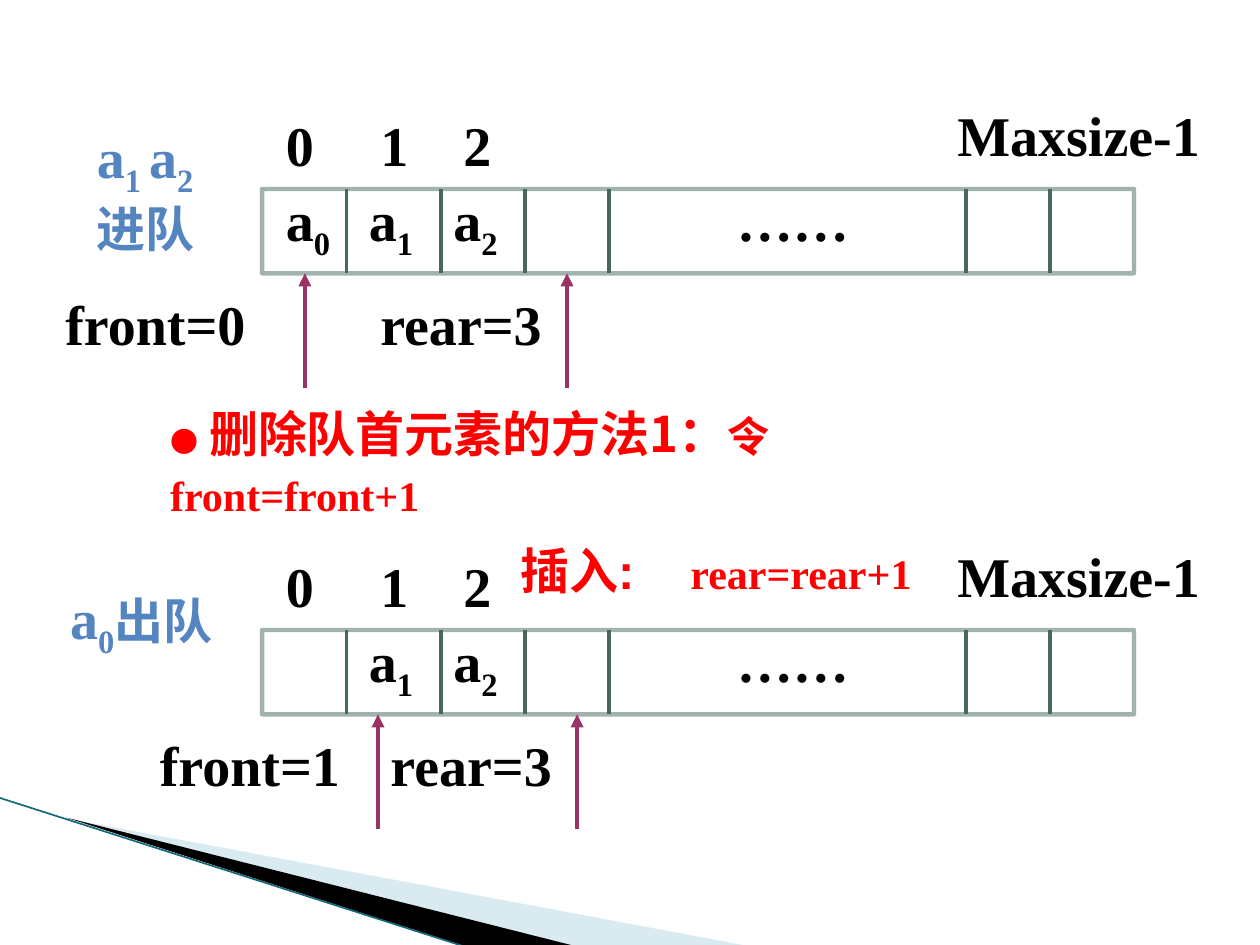
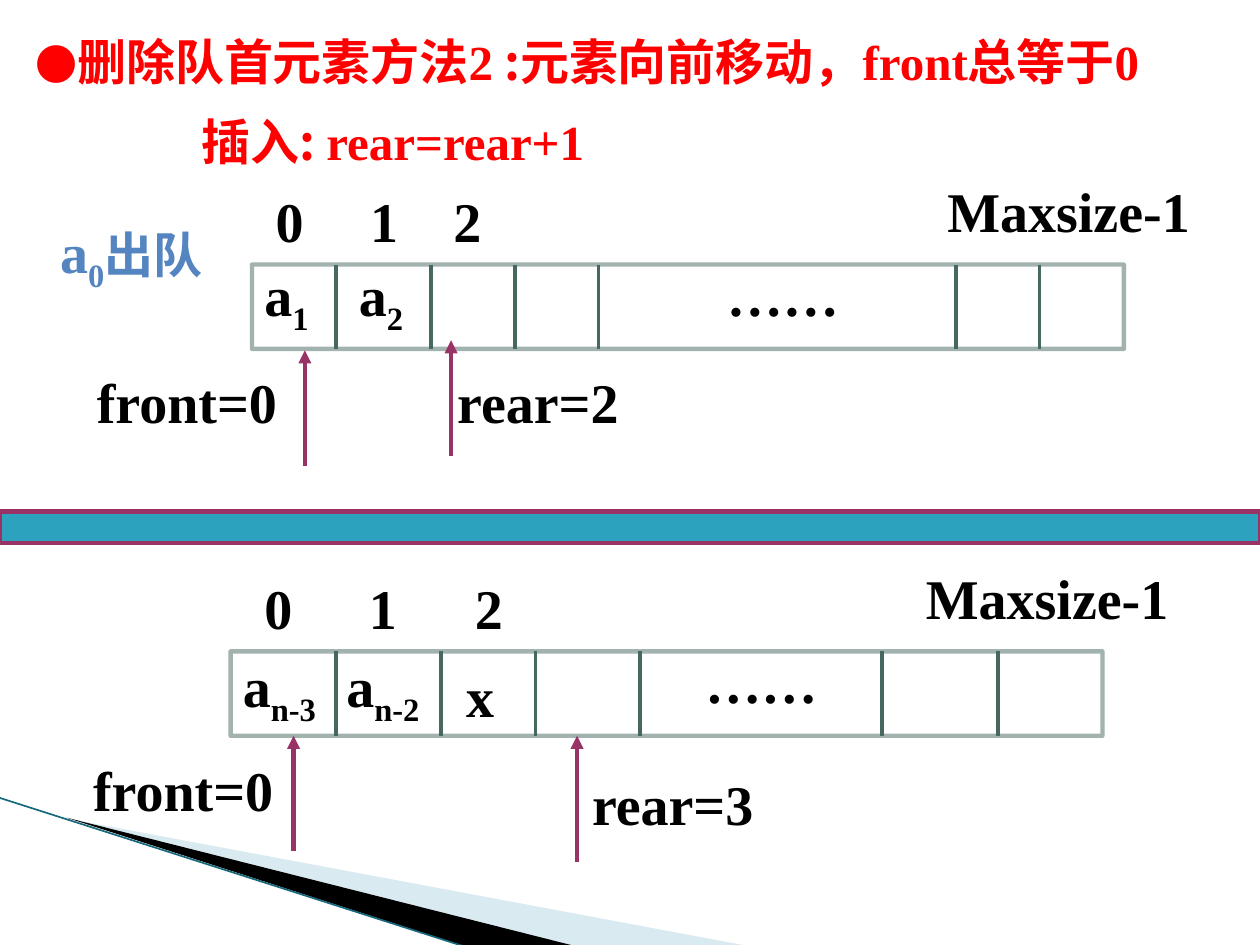
from pptx import Presentation
from pptx.dml.color import RGBColor
from pptx.enum.shapes import MSO_CONNECTOR, MSO_SHAPE
from pptx.enum.text import MSO_ANCHOR, MSO_AUTO_SIZE, PP_ALIGN
from pptx.oxml.ns import qn
from pptx.util import Inches, Pt
from lxml.etree import SubElement

# ---- Shared style ----
BLACK, RED, BLUE = "000000", "FF0000", "5485C0"
GREEN, PURPLE, TEAL = "466861", "993366", "2DA2BF"
SERIF, SANS, CJK = "Times New Roman", "Arial", "Noto Sans CJK SC"
QUEUE_W, QUEUE_H = 6.92, 0.67
LEFT, CENTER = PP_ALIGN.LEFT, PP_ALIGN.CENTER

# ---- Content: text pieces starting with "_" are subscripts ----
# Offsets (dividers, indices, cells) are measured from the queue's corner.
NARROW = dict(dividers=[0.67, 1.42, 2.09, 2.75, 5.59, 6.25], indices=[0.09, 0.84, 1.5])
WIDE = dict(dividers=[0.84, 1.67, 2.42, 3.25, 5.17, 6.09], indices=[0.17, 1, 1.84])
DEQUEUE = [("a", "_0", "出队")]

# cells: (pieces, dx, dy); pointers: (text, text x, text dy, arrow x, arrow top dy, length)
# note: (paragraphs, x, y, width, alignment)
SLIDES = [
    dict(
        title=dict(at=(1.25, 3.08, 7.05, 1.6), tabs=[2.78, 4.13], lines=[
            [("●", 16, CJK), (" 删除队首元素的方法1：", 28, CJK),
             ("令\vfront=front+1", 24, SERIF)],
            [("\t插入:", 28, SANS), ("\trear=rear+1", 24, SERIF)]]),
        queues=[
            dict(NARROW, x=2.08, y=1.5,
                 cells=[(("a", "_0"), 0.09, -0.08), (("a", "_1"), 0.75, -0.08),
                        (("a", "_2"), 1.42, -0.08)],
                 pointers=[("front=0", 0.42, 0.75, 2.42, 0.67, 0.91),
                           ("rear=3", 2.92, 0.75, 4.5, 0.67, 0.91)],
                 note=([("a", "_1 ", "a", "_2"), ("进队",)], 0.67, 0.92, 1.67, LEFT)),
            dict(NARROW, x=2.08, y=5,
                 cells=[(("a", "_1"), 0.75, -0.08), (("a", "_2"), 1.42, -0.08)],
                 pointers=[("front=1", 1.17, 0.75, 3, 0.67, 0.91),
                           ("rear=3", 3, 0.75, 4.58, 0.67, 0.91)],
                 note=(DEQUEUE, 0.33, 4.58, 1.58, CENTER)),
        ]),
    dict(
        title=dict(at=(0.18, 0.13, 9.72, 1.42), tabs=[1.32], lines=[
            [("●", 24, CJK), ("删除队首元素方法", 28, CJK), ("2", 28, SERIF),
             (" :元素向前移动，", 28, CJK), ("front总等于0", 28, SERIF)],
            [("\t插入: ", 28, CJK), ("rear=rear+1", 28, SERIF)]]),
        band=(0, 4.06, 10, 0.25),
        queues=[
            dict(NARROW, x=2, y=2.1,
                 cells=[(("a", "_1"), 0, -0.08), (("a", "_2"), 0.75, -0.08)],
                 pointers=[("front=0", 0.67, 0.77, 2.42, 0.68, 0.92),
                           ("rear=2", 3.53, 0.77, 3.58, 0.6, 0.92)],
                 note=(DEQUEUE, 0.25, 1.68, 1.58, CENTER)),
            dict(WIDE, x=1.83, y=5.17,
                 cells=[(("a", "_n-3"), 0, -0.05), (("a", "_n-2"), 0.82, -0.05),
                        (("x",), 1.77, 0.03)],
                 pointers=[("front=0", 0.64, 0.78, 2.33, 0.67, 0.91),
                           ("rear=3", 4.6, 0.89, 4.58, 0.67, 1)]),
        ]),
]


# ---- Helpers ----
def rgb(value):
    return RGBColor.from_string(value)


def box(x, y, w, h):
    return Inches(x), Inches(y), Inches(w), Inches(h)


def set_alpha(fill_parent, percent):
    """Make the solid colour under this element partly transparent."""
    color = next(fill_parent.iter(qn("a:srgbClr")))
    SubElement(color, qn("a:alpha")).set("val", str(percent * 1000))


def add_run(p, text, size, font):
    r = p.add_run()
    r.text = text
    r.font.size, r.font.name = Pt(size), font
    SubElement(r.font._element, qn("a:ea")).set("typeface", CJK)
    return r


def add_label(shapes, paragraphs, x, y, w, color=BLACK, align=LEFT):
    tf = shapes.add_textbox(*box(x, y, w, 0.63 * len(paragraphs))).text_frame
    tf.word_wrap = True
    for i, pieces in enumerate(paragraphs):
        p = tf.add_paragraph() if i else tf.paragraphs[0]
        p.alignment = align
        p.font.bold = True
        if i:
            p.line_spacing, p.space_before = 0.85, Pt(5)
        for piece in pieces:
            r = add_run(p, piece.lstrip("_"), 28 if piece[0] > "\u2e80" else 32, SERIF)
            r.font.bold = True
            r.font.color.rgb = rgb(color)
            if piece[0] == "_":
                r.font._element.set("baseline", "-25000")


def add_line(shapes, x1, y1, x2, y2, color, width, arrow=False):
    c = shapes.add_connector(MSO_CONNECTOR.STRAIGHT,
                             Inches(x1), Inches(y1), Inches(x2), Inches(y2))
    c.line.color.rgb, c.line.width = rgb(color), Pt(width)
    if arrow:
        SubElement(c.line._get_or_add_ln(), qn("a:tailEnd")).set("type", "triangle")
    SubElement(c._element.spPr, qn("a:effectLst"))
    return c


def add_rect(shapes, x, y, w, h, line, fill=None):
    sp = shapes.add_shape(MSO_SHAPE.RECTANGLE, *box(x, y, w, h))
    sp.shadow.inherit = False
    sp.line.color.rgb, sp.line.width = rgb(line), Pt(2.5)
    if fill:
        sp.fill.solid()
        sp.fill.fore_color.rgb = rgb(fill)
    else:
        sp.fill.background()
    return sp


def add_wedge(shapes, points, color):
    (x, y), *rest = [(Inches(px), Inches(py)) for px, py in points]
    builder = shapes.build_freeform(x, y)
    builder.add_line_segments(rest, close=True)
    sp = builder.convert_to_shape()
    sp.shadow.inherit = False
    sp.fill.solid()
    sp.fill.fore_color.rgb = rgb(color)
    sp.line.fill.background()
    return sp


def decorate_layout(layout, s):
    """Draw the corner wedges once and hand them to the shared layout."""
    light = add_wedge(s.shapes, [(0.55, 6.5), (5.95, 7.51), (4.56, 7.51)], "A0CBDC")
    set_alpha(light._element.spPr, 40)
    dark = add_wedge(s.shapes, [(0.53, 6.49), (4.57, 7.51), (3.72, 7.52)], BLACK)
    edge = add_line(s.shapes, -0.01, 6.33, 3.71, 7.52, "16697A", 0.95)
    for shape in (light, dark, edge):
        layout.shapes.element.append(shape._element)


def fill_title(title, at, tabs, lines):
    title.left, title.top, title.width, title.height = box(*at)
    tf = title.text_frame
    tf.word_wrap, tf.auto_size = True, MSO_AUTO_SIZE.NONE
    tf.vertical_anchor = MSO_ANCHOR.TOP
    for i, runs in enumerate(lines):
        p = tf.add_paragraph() if i else tf.paragraphs[0]
        p.alignment, p.line_spacing = LEFT, 1.15
        p.space_before = Pt(7 if i else 0)
        if i:
            stops = SubElement(p._p.get_or_add_pPr(), qn("a:tabLst"))
            for pos in tabs:
                stop = SubElement(stops, qn("a:tab"))
                stop.set("pos", str(Inches(pos)))
                stop.set("algn", "l")
        for text, size, font in runs:
            # a vertical tab in the content stands for a line break
            for n, part in enumerate(text.split("\v")):
                if n:
                    p.add_line_break()
                r = add_run(p, part, size, font)
                r.font.bold = True
                r.font.color.rgb = rgb(RED)


def add_queue(s, x, y, dividers, indices, cells, pointers, note=None):
    shapes = s.shapes.add_group_shape().shapes
    frame = add_rect(shapes, x, y, QUEUE_W, QUEUE_H, GREEN)
    set_alpha(frame.line._get_or_add_ln(), 50)
    for dx in dividers:
        add_line(shapes, x + dx, y, x + dx, y + QUEUE_H, GREEN, 2.25)
    # Indices above, values inside
    for i, dx in enumerate(indices):
        add_label(shapes, [(str(i),)], x + dx, y - 0.67, 0.5)
    add_label(shapes, [("Maxsize-1",)], x + 5.42, y - 0.75, 2.17)
    add_label(shapes, [("……",)], x + 3.67, y - 0.08, 1.25)
    for pieces, dx, dy in cells:
        add_label(shapes, [pieces], x + dx, y + dy, 0.95)
    # Front and rear pointers below
    for text, text_x, dy, arrow_x, top, length in pointers:
        add_label(shapes, [(text,)], text_x, y + dy, 1.92)
        add_line(shapes, arrow_x, y + top + length, arrow_x, y + top, PURPLE, 2.5, arrow=True)
    if note:
        paragraphs, nx, ny, w, align = note
        add_label(shapes, paragraphs, nx, ny, w, BLUE, align)


# ---- Build ----
prs = Presentation()
prs.slide_width, prs.slide_height = Inches(10), Inches(7.5)
layout = prs.slide_layouts[5]  # title only

for i, content in enumerate(SLIDES):
    s = prs.slides.add_slide(layout)
    if i == 0:
        decorate_layout(layout, s)
    fill_title(s.shapes.title, **content["title"])
    if "band" in content:
        add_rect(s.shapes, *content["band"], PURPLE, TEAL)
    for queue in content["queues"]:
        add_queue(s, **queue)

prs.save("out.pptx")
